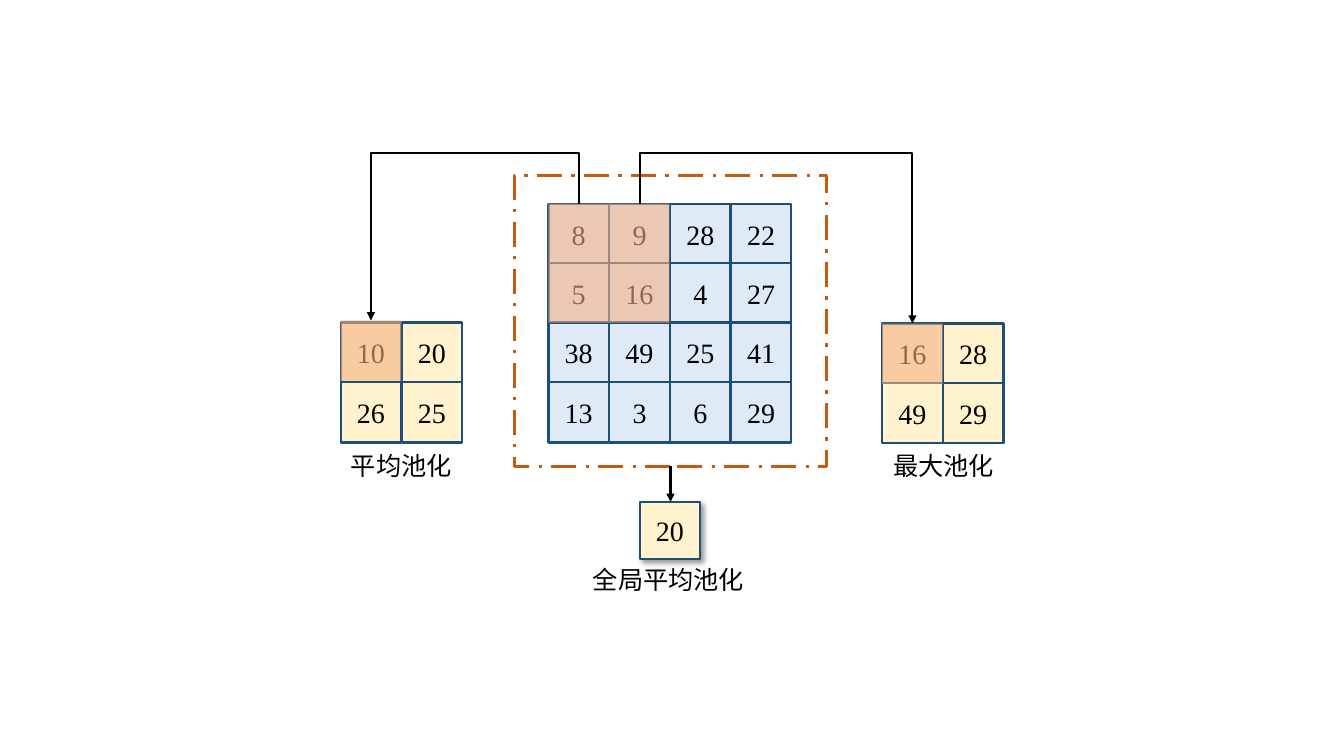
from dataclasses import dataclass
from typing import NamedTuple

from lxml import etree
from pptx import Presentation
from pptx import util as u
from pptx.dml.color import RGBColor
from pptx.enum import dml, shapes, text
from pptx.oxml import ns

COLUMN = u.Inches(0.1)
ROW = u.Inches(0.1)
CELL = 6
COLUMN_PITCH = 6.03
ROW_PITCH = 5.9
ELBOW_RISE = 5


@dataclass(frozen=True)
class Theme:
    font: str = "Times New Roman"
    number_size: float = 20
    caption_size: float = 18
    line_width: float = 1.5
    frame_width: float = 2.25
    ink: str = "000000"
    cell_line: str = "1F4E79"
    input_fill: str = "DEEBF7"
    output_fill: str = "FFF2CC"
    highlight: str = "F4B183"
    highlight_opacity: int = 59
    frame: str = "C55A11"


THEME = Theme()


class Point(NamedTuple):
    column: float
    row: float


class Box(NamedTuple):
    column: float
    row: float
    columns: float
    rows: float

    def lengths(self) -> tuple[int, int, int, int]:
        return (round(self.column * COLUMN), round(self.row * ROW),
                round(self.columns * COLUMN), round(self.rows * ROW))


class Matrix(NamedTuple):
    corner: Point
    fill: str
    values: tuple[tuple[int, ...], ...]


class Caption(NamedTuple):
    box: Box
    wording: str


class Arrow(NamedTuple):
    start: Point
    end: Point


MATRICES = (
    Matrix(Point(54.4, 20.2), THEME.input_fill,
           ((8, 9, 28, 22), (5, 16, 4, 27), (38, 49, 25, 41), (13, 3, 6, 29))),
    Matrix(Point(33.8, 32), THEME.output_fill, ((10, 20), (26, 25))),
    Matrix(Point(87.5, 32.1), THEME.output_fill, ((16, 28), (49, 29))),
)
GLOBAL_CELL = Box(63.5, 49.8, 5.9, 5.7)
FRAME = Box(51, 17.4, 31, 28.9)
HIGHLIGHTS = (
    Box(54.4, 20.2, 12, 11.8),
    Box(33.8, 31.8, CELL, CELL),
    Box(87.5, 32.1, CELL, CELL),
)
GLOBAL_ARROW = Arrow(Point(66.5, 46.2), Point(66.5, 49.8))
ELBOW_ARROWS = (
    Arrow(Point(63.5, 20.2), Point(90.5, 32.1)),
    Arrow(Point(57.4, 20.2), Point(36.8, 31.8)),
)
CAPTIONS = (
    Caption(Box(32.1, 44.2, 15.4, 4), "平均池化"),
    Caption(Box(85.9, 44.2, 15.4, 4), "最大池化"),
    Caption(Box(57.4, 55.5, 17.8, 4), "全局平均池化"),
)


def add_child(parent, tag: str, **attributes: str):
    return etree.SubElement(parent, ns.qn(tag), attributes)


def write(shape, wording: str, size: float) -> None:
    frame = shape.text_frame
    frame.word_wrap = True
    paragraph = frame.paragraphs[0]
    paragraph.alignment = text.PP_ALIGN.CENTER
    run = paragraph.add_run()
    run.text = wording
    run.font.name = THEME.font
    run.font.size = u.Pt(size)
    run.font.color.rgb = RGBColor.from_string(THEME.ink)


def set_line(shape, color: str, width: float) -> None:
    shape.line.color.rgb = RGBColor.from_string(color)
    shape.line.width = u.Pt(width)


def add_rectangle(slide, box: Box):
    shape = slide.shapes.add_shape(shapes.MSO_SHAPE.RECTANGLE, *box.lengths())
    shape.shadow.inherit = False
    return shape


def add_cell(slide, box: Box, fill: str, value: int):
    shape = add_rectangle(slide, box)
    shape.fill.solid()
    shape.fill.fore_color.rgb = RGBColor.from_string(fill)
    set_line(shape, THEME.cell_line, THEME.line_width)
    shape.text_frame.vertical_anchor = text.MSO_ANCHOR.MIDDLE
    write(shape, str(value), THEME.number_size)
    return shape


def add_matrix(slide, matrix: Matrix) -> None:
    for row, values in enumerate(matrix.values):
        for column, value in enumerate(values):
            box = Box(matrix.corner.column + column * COLUMN_PITCH,
                      matrix.corner.row + row * ROW_PITCH, CELL, CELL)
            add_cell(slide, box, matrix.fill, value)


def add_global_cell(slide) -> None:
    shape = add_cell(slide, GLOBAL_CELL, THEME.output_fill, 20)
    effects = shape.element.spPr.find(ns.qn("a:effectLst"))
    shadow = add_child(effects, "a:outerShdw", blurRad=str(u.Pt(4)),
                       dist=str(u.Pt(3)), dir="2700000", algn="tl", rotWithShape="0")
    color = add_child(shadow, "a:srgbClr", val=THEME.ink)
    add_child(color, "a:alpha", val="40000")


def add_highlight(slide, box: Box) -> None:
    shape = add_rectangle(slide, box)
    shape.fill.solid()
    shape.fill.fore_color.rgb = RGBColor.from_string(THEME.highlight)
    color = shape.element.spPr.find(ns.qn("a:solidFill"))[0]
    add_child(color, "a:alpha", val=str(THEME.highlight_opacity * 1000))
    shape.line.fill.background()


def add_frame(slide) -> None:
    shape = add_rectangle(slide, FRAME)
    shape.fill.background()
    set_line(shape, THEME.frame, THEME.frame_width)
    shape.line.dash_style = dml.MSO_LINE.LONG_DASH_DOT


def add_arrow(slide, arrow: Arrow, kind: shapes.MSO_CONNECTOR):
    ends = [round(length) for point in arrow
            for length in (point.column * COLUMN, point.row * ROW)]
    connector = slide.shapes.add_connector(kind, *ends)
    set_line(connector, THEME.ink, THEME.line_width)
    add_child(connector.line._get_or_add_ln(), "a:tailEnd", type="triangle")
    add_child(connector.element.spPr, "a:effectLst")
    return connector


def quarter_turn(point: Point, center: Point) -> Point:
    return Point(center.column - (point.row - center.row),
                 center.row + (point.column - center.column))


def add_elbow_arrow(slide, arrow: Arrow) -> None:
    start, end = arrow
    center = Point((start.column + end.column) / 2, (start.row + end.row) / 2)
    turned = Arrow(quarter_turn(start, center), quarter_turn(end, center))
    connector = add_arrow(slide, turned, shapes.MSO_CONNECTOR.ELBOW)
    properties = connector.element.spPr
    properties.find(ns.qn("a:xfrm")).set("rot", str(270 * 60000))
    bend = round(-ELBOW_RISE / (end.row - start.row) * 100000)
    adjustments = properties.find(ns.qn("a:prstGeom")).find(ns.qn("a:avLst"))
    add_child(adjustments, "a:gd", name="adj1", fmla=f"val {bend}")


def main() -> None:
    presentation = Presentation()
    presentation.slide_width = u.Inches(13.33)
    presentation.slide_height = u.Inches(7.5)
    slide = presentation.slides.add_slide(presentation.slide_layouts[6])
    for matrix in MATRICES:
        add_matrix(slide, matrix)
    add_global_cell(slide)
    for box in HIGHLIGHTS:
        add_highlight(slide, box)
    add_frame(slide)
    add_arrow(slide, GLOBAL_ARROW, shapes.MSO_CONNECTOR.STRAIGHT)
    for arrow in ELBOW_ARROWS:
        add_elbow_arrow(slide, arrow)
    for caption in CAPTIONS:
        write(slide.shapes.add_textbox(*caption.box.lengths()),
              caption.wording, THEME.caption_size)
    presentation.save("out.pptx")


if __name__ == "__main__":
    main()
